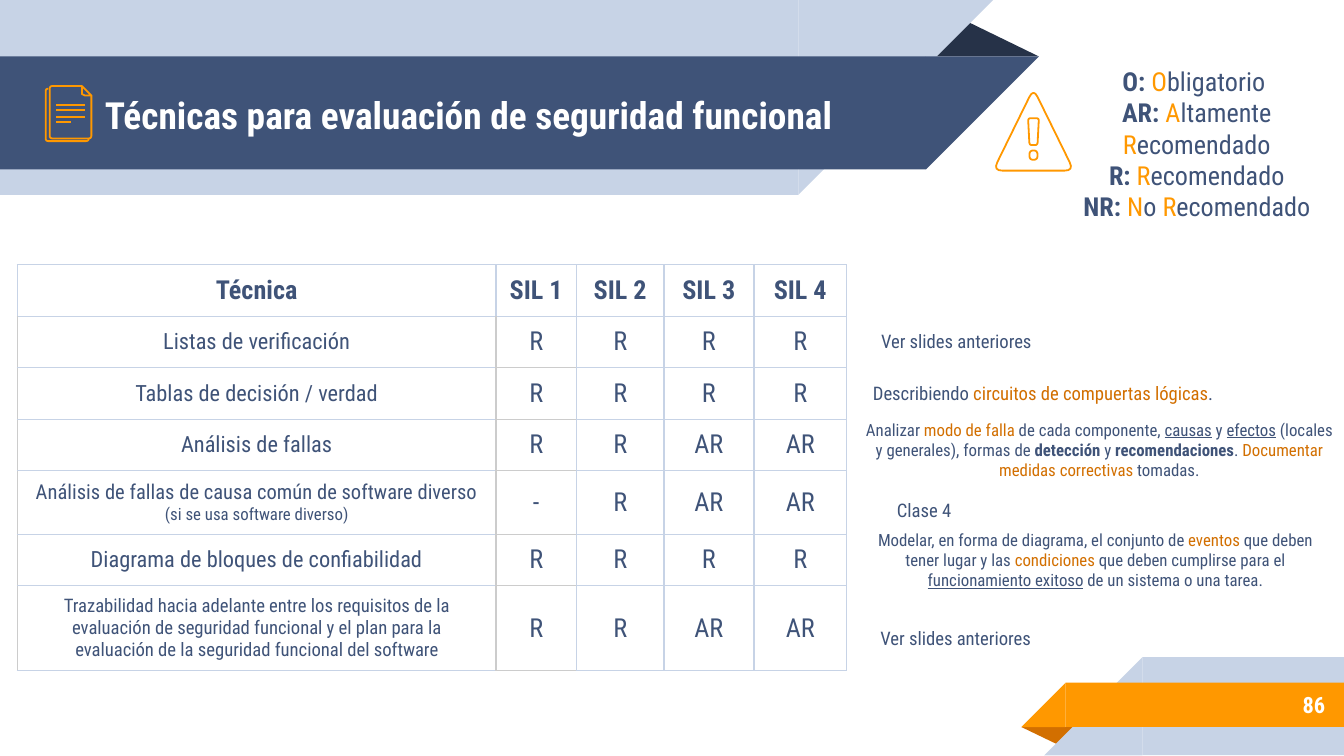
from lxml import etree
from pptx import Presentation
from pptx.dml.color import RGBColor
from pptx.enum.shapes import MSO_CONNECTOR, MSO_SHAPE
from pptx.enum.text import MSO_ANCHOR, MSO_AUTO_SIZE, PP_ALIGN
from pptx.oxml.ns import qn
from pptx.util import Inches, Pt

FONT = "Roboto Condensed"
COLORS = {
    "navy": "3F5378", "dark": "263248", "pale": "C7D3E6", "orange": "FF9800",
    "rust": "D26F00", "white": "FFFFFF", "grey": "CCCCCC",
}


def rgb(name):
    return RGBColor.from_string(COLORS[name])


def rounded(points, radius, closed=True):
    """Return the outline with each corner replaced by a short curve."""
    result = []
    for i, (x, y) in enumerate(points):
        if not closed and i in (0, len(points) - 1):
            result.append((x, y))
            continue
        ends = []
        for nx, ny in (points[i - 1], points[(i + 1) % len(points)]):
            ratio = radius / ((nx - x) ** 2 + (ny - y) ** 2) ** 0.5
            ends.append((x + (nx - x) * ratio, y + (ny - y) * ratio))
        (ax, ay), (bx, by) = ends
        for t in (0, 0.25, 0.5, 0.75, 1):
            u = 1 - t
            result.append((u * u * ax + 2 * u * t * x + t * t * bx,
                           u * u * ay + 2 * u * t * y + t * t * by))
    return result


class Deck:
    def __init__(self):
        self.prs = Presentation()
        self.prs.slide_width, self.prs.slide_height = Inches(10), Inches(10 * 9 / 16)
        self.s = self.prs.slides.add_slide(self.prs.slide_layouts[5])

    def shape(self, kind, box, color, rotation=0, adj=None):
        sp = self.s.shapes.add_shape(kind, *map(Inches, box))
        sp.shadow.inherit = False
        sp.rotation = rotation
        if adj is not None:
            sp.adjustments[0] = adj
        sp.fill.solid()
        sp.fill.fore_color.rgb = rgb(color)
        sp.line.fill.background()

    def outline(self, *contours, closed=True):
        """Draw contours as one unfilled icon part."""
        contours = [[(Inches(x), Inches(y)) for x, y in c] for c in contours]
        fb = self.s.shapes.build_freeform(*contours[0][0])
        for i, contour in enumerate(contours):
            if i:
                fb.move_to(*contour[0])
            fb.add_line_segments(contour[1:], close=closed)
        sp = fb.convert_to_shape()
        sp.shadow.inherit = False
        sp.fill.background()
        sp.line.color.rgb = rgb("orange")
        sp.line.width = Pt(0.96)

    def line(self, x1, y1, x2, y2):
        c = self.s.shapes.add_connector(MSO_CONNECTOR.STRAIGHT, *map(Inches, (x1, y1, x2, y2)))
        c.line.color.rgb = rgb("orange")
        c.line.width = Pt(0.96)
        etree.SubElement(c.element.spPr, qn("a:effectLst"))

    def paragraph(self, p, runs, size, color="navy", bold=None, align=PP_ALIGN.CENTER):
        """Fill p with a string or (text, style) runs; a style holds b, u, br or a color."""
        p.alignment = align
        p.font.name, p.font.size, p.font.bold = FONT, Pt(size), bold
        p.font.color.rgb = rgb(color)
        for text, style in [(runs, "")] if isinstance(runs, str) else runs:
            r = p.add_run()
            r.text = text
            if style == "b":
                r.font.bold = True
            elif style == "u":
                r.font.underline = True
            elif style == "br":
                p.add_line_break()
            elif style:
                r.font.color.rgb = rgb(style)

    def frame(self, sp, paragraphs, size, **style):
        tf = sp.text_frame
        tf.word_wrap, tf.auto_size = True, MSO_AUTO_SIZE.NONE
        tf.vertical_anchor = MSO_ANCHOR.MIDDLE
        tf.margin_left = tf.margin_right = tf.margin_top = tf.margin_bottom = Inches(0.1)
        for i, runs in enumerate(paragraphs):
            self.paragraph(tf.add_paragraph() if i else tf.paragraphs[0], runs, size, **style)

    def text(self, box, paragraphs, size, **style):
        self.frame(self.s.shapes.add_textbox(*map(Inches, box)), paragraphs, size, **style)

    def title(self, box, text, size):
        sp = self.s.shapes.title
        sp.left, sp.top, sp.width, sp.height = map(Inches, box)
        self.frame(sp, [text], size, color="white", bold=True, align=PP_ALIGN.LEFT)
        sp.element.getparent().append(sp.element)  # in front of the banner

    def borders(self, cell, **colors):
        tcPr = cell._tc.get_or_add_tcPr()
        for i, side in enumerate("LRTB"):
            ln = etree.Element(qn(f"a:ln{side}"), w=str(Pt(0.75)))
            fill = etree.SubElement(ln, qn("a:solidFill"))
            etree.SubElement(fill, qn("a:srgbClr"), val=COLORS[colors.get(side, "pale")])
            tcPr.insert(i, ln)

    def table(self, left, top, widths, heights, rows):
        """Widths are inches, heights points; rows hold (lines, values), lines (text, size)."""
        gf = self.s.shapes.add_table(len(rows), len(widths), Inches(left), Inches(top),
                                     Inches(sum(widths)), Pt(sum(heights)))
        t = gf.table
        t.first_row = t.horz_banding = False
        for col, w in zip(t.columns, widths):
            col.width = Inches(w)
        for row, h in zip(t.rows, heights):
            row.height = Pt(h)
        for i, (lines, values) in enumerate(rows):
            for j, content in enumerate([lines] + [[(v, 14)] for v in values]):
                cell = t.cell(i, j)
                cell.vertical_anchor = MSO_ANCHOR.MIDDLE
                cell.margin_left = cell.margin_right = Inches(0.1)
                cell.margin_top = cell.margin_bottom = Inches(0.07)
                cell.fill.solid()
                cell.fill.fore_color.rgb = rgb("white")
                grey = "" if i == 0 or j > 1 else "LR" if j == 0 else "LRB" if i == 1 else "LRTB"
                self.borders(cell, **{side: "grey" for side in grey})
                tf = cell.text_frame
                for k, (text, size) in enumerate(content):
                    p = tf.add_paragraph() if k else tf.paragraphs[0]
                    self.paragraph(p, text, size, bold=i == 0)


def main():
    d = Deck()
    # Banner and footer ribbons
    tri, corner, rect = MSO_SHAPE.ISOSCELES_TRIANGLE, MSO_SHAPE.RIGHT_TRIANGLE, MSO_SHAPE.RECTANGLE
    d.shape(tri, (6.88, 0.14, 0.85, 0.28), "dark", adj=0.324)
    for x, y, h, color in ((5.94, 0, 1.45, "pale"), (6.89, 0.42, 0.84, "navy")):
        d.shape(rect, (0, y, x, h), color)
        d.shape(corner, (x, y, h, h), color, rotation=90)
    d.shape(tri, (7.6, 5.41, 0.43, 0.14), "rust", rotation=180, adj=0.324)
    for x, y, h, color in ((8.5, 4.89, 0.73, "pale"), (7.93, 5.08, 0.33, "orange")):
        d.shape(rect, (x, y, 10 - x, h), color)
        d.shape(corner, (x - h, y, h, h), color, rotation=270)
    d.title((0.68, 0.43, 6.43, 0.84), "Técnicas para evaluación de seguridad funcional", 20)
    d.text((8.33, 5.07, 1.63, 0.35), ["86"], 12, color="white", bold=True, align=PP_ALIGN.RIGHT)

    # Document icon
    back = [(0.66, 1.03), (0.66, 1.05), (0.34, 1.05), (0.34, 0.66), (0.36, 0.66)]
    front = [(0.68, 0.71), (0.68, 1.03), (0.37, 1.03), (0.37, 0.64), (0.61, 0.64)]
    d.outline(rounded(back, 0.02, closed=False), closed=False)
    d.outline(rounded(front, 0.02, closed=False), closed=False)
    d.outline([(0.61, 0.64), (0.68, 0.71), (0.63, 0.71), (0.61, 0.7)])
    for x, y in ((0.53, 0.91), (0.63, 0.87), (0.63, 0.82), (0.63, 0.78)):
        d.line(0.42, y, x, y)

    # Warning icon
    d.outline(rounded([(7.69, 0.66), (7.99, 1.27), (7.39, 1.27)], 0.07),
              rounded([(7.66, 1.12), (7.72, 1.12), (7.72, 1.19), (7.66, 1.19)], 0.03),
              rounded([(7.65, 0.88), (7.73, 0.88), (7.72, 1.08), (7.66, 1.08)], 0.02))

    d.table(0.13, 1.97, [3.56, 0.6, 0.65, 0.67, 0.69],
            [27.6, 27.6, 27.6, 27.6, 34, 27.6, 45.5], [
        ([("Técnica", 14)], ["SIL 1", "SIL 2", "SIL 3", "SIL 4"]),
        ([("Listas de verificación", 12)], ["R", "R", "R", "R"]),
        ([("Tablas de decisión / verdad", 12)], ["R", "R", "R", "R"]),
        ([("Análisis de fallas", 12)], ["R", "R", "AR", "AR"]),
        ([("Análisis de fallas de causa común de software diverso", 11),
          ("(si se usa software diverso)", 9)], ["-", "R", "AR", "AR"]),
        ([("Diagrama de bloques de confiabilidad", 12)], ["R", "R", "R", "R"]),
        ([("Trazabilidad hacia adelante entre los requisitos de la evaluación de seguridad "
           "funcional y el plan para la evaluación de la seguridad funcional del software", 10)],
         ["R", "R", "AR", "AR"]),
    ])

    # Legend
    d.text((7.81, 0.43, 2.19, 1.28), [
        [("O: ", "b"), ("O", "orange"), ("bligatorio ", "br"), ("AR: ", "b"), ("A", "orange"),
         ("ltamente ", ""), ("R", "orange"), ("ecomendado", "")],
        [("R: ", "b"), ("R", "orange"), ("ecomendado", "")],
        [("NR: ", "b"), ("N", "orange"), ("o ", ""), ("R", "orange"), ("ecomendado", "")],
    ], 14)

    # Notes beside the table rows
    d.text((6.3, 2.25, 1.63, 0.57), ["Ver slides anteriores"], 10)
    d.text((6.3, 2.7, 2.92, 0.45), [[
        ("Describiendo ", ""), ("circuitos de compuertas lógicas", "rust"), (".", "")]], 10)
    d.text((6.33, 3.12, 3.7, 0.45), [[
        ("Analizar ", ""), ("modo de falla", "rust"), (" de cada componente, ", ""),
        ("causas", "u"), (" y ", ""), ("efectos", "u"), (" (locales y generales), formas de ", ""),
        ("detección", "b"), (" y ", ""), ("recomendaciones", "b"), (". ", ""),
        ("Documentar medidas correctivas", "rust"), (" tomadas.", "")]], 9)
    d.text((6.3, 3.57, 1.15, 0.45), ["Clase 4"], 10)
    d.text((6.3, 3.94, 3.7, 0.45), [[
        ("Modelar, en forma de diagrama, el conjunto de ", ""), ("eventos", "rust"),
        (" que deben tener lugar y las ", ""), ("condiciones", "rust"),
        (" que deben cumplirse para el ", ""), ("funcionamiento exitoso", "u"),
        (" de un sistema o una tarea.", "")]], 9)
    d.text((6.35, 4.57, 1.52, 0.35), ["Ver slides anteriores"], 10)
    d.prs.save("out.pptx")


if __name__ == "__main__":
    main()
